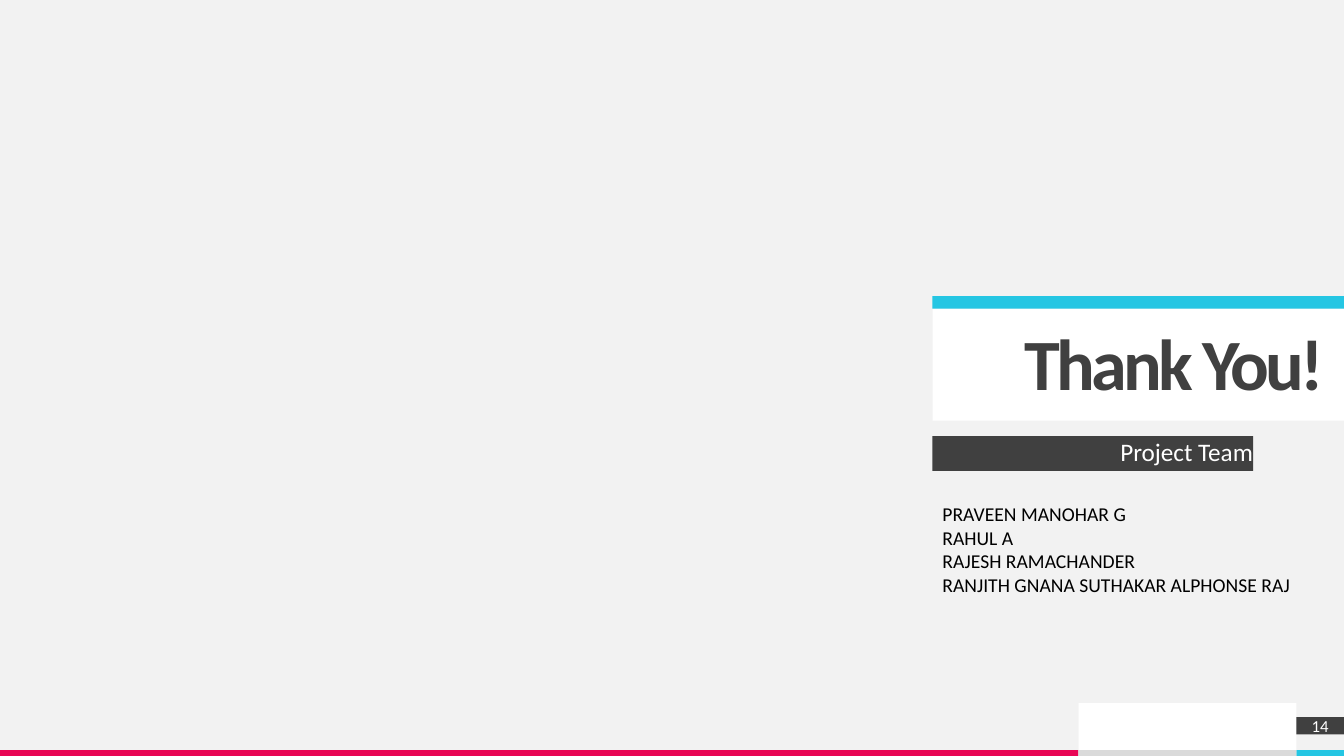
"""Build the closing thank-you slide with its project team."""
from dataclasses import dataclass

from lxml import etree
from pptx import Presentation
from pptx.dml.color import RGBColor
from pptx.enum.shapes import MSO_CONNECTOR, MSO_SHAPE
from pptx.enum.text import MSO_ANCHOR, PP_ALIGN
from pptx.oxml.ns import qn
from pptx.util import Cm, Pt

RECTANGLE = MSO_SHAPE.RECTANGLE
STRAIGHT = MSO_CONNECTOR.STRAIGHT
TOP, MIDDLE = MSO_ANCHOR.TOP, MSO_ANCHOR.MIDDLE
LEFT, CENTER, RIGHT = PP_ALIGN.LEFT, PP_ALIGN.CENTER, PP_ALIGN.RIGHT


@dataclass(frozen=True)
class Theme:
    """Colours, font and type sizes of the slide."""
    font: str = "Calibri"
    page: str = "F2F2F2"
    white: str = "FFFFFF"
    black: str = "000000"
    dark: str = "404040"
    cyan: str = "25C6E3"
    magenta: str = "E80554"
    grey: str = "DADADA"
    title_size: float = 51.6
    title_spacing: int = -260
    subtitle_size: float = 18
    team_size: float = 14
    number_size: float = 12


@dataclass(frozen=True)
class Box:
    """Position and size in centimetres."""
    left: float
    top: float
    width: float
    height: float


@dataclass(frozen=True)
class Bar:
    """A plain coloured rectangle."""
    box: Box
    color: str


@dataclass(frozen=True)
class TextStyle:
    """Formatting of a block of text."""
    size: float
    color: str
    align: PP_ALIGN = LEFT
    anchor: MSO_ANCHOR = TOP
    inset: float = 0
    line_spacing: float = 1
    bold: bool = False


THEME = Theme()
SLIDE_WIDTH, SLIDE_HEIGHT = 33.87, 19.05
FOOTER_TOP, FOOTER_HEIGHT = 17.7, 1.2
STRIPE_TOP, STRIPE_HEIGHT = FOOTER_TOP + FOOTER_HEIGHT, 0.15
PANEL_LEFT, NUMBER_LEFT = 27.18, 32.67
PANEL_WIDTH, NUMBER_WIDTH = NUMBER_LEFT - PANEL_LEFT, SLIDE_WIDTH - NUMBER_LEFT
BLOCK_LEFT = 23.5
BLOCK_WIDTH = SLIDE_WIDTH - BLOCK_LEFT

FOOTER_PANELS = (
    Bar(Box(PANEL_LEFT, FOOTER_TOP, PANEL_WIDTH, FOOTER_HEIGHT), THEME.white),
    Bar(Box(0, FOOTER_TOP, PANEL_LEFT, FOOTER_HEIGHT), THEME.page),
)
ACCENTS = (
    Bar(Box(NUMBER_LEFT, STRIPE_TOP, NUMBER_WIDTH, STRIPE_HEIGHT), THEME.cyan),
    Bar(Box(0, STRIPE_TOP, PANEL_LEFT, STRIPE_HEIGHT), THEME.magenta),
    Bar(Box(PANEL_LEFT, STRIPE_TOP, PANEL_WIDTH, STRIPE_HEIGHT), THEME.grey),
    Bar(Box(BLOCK_LEFT, 7.46, BLOCK_WIDTH, 0.32), THEME.cyan),
)
TITLE_BOX = Box(BLOCK_LEFT, 7.78, BLOCK_WIDTH, 2.82)
SUBTITLE = Bar(Box(BLOCK_LEFT, 10.99, 8.08, 0.88), THEME.dark)
NUMBER = Bar(Box(NUMBER_LEFT, 18.07, NUMBER_WIDTH, 0.44), THEME.dark)
TEAM_BOX = Box(23.62, 12.52, 9.42, 2.7)
TEAM = (
    "PRAVEEN MANOHAR G",
    "RAHUL A",
    "RAJESH RAMACHANDER",
    "RANJITH GNANA SUTHAKAR ALPHONSE RAJ",
)


def lengths(box: Box) -> tuple[Cm, Cm, Cm, Cm]:
    """Convert a box to slide lengths."""
    return Cm(box.left), Cm(box.top), Cm(box.width), Cm(box.height)


def paint(shape, color: str) -> None:
    """Fill a shape with a solid colour."""
    shape.fill.solid()
    shape.fill.fore_color.rgb = RGBColor.from_string(color)


def add_bar(slide, bar: Bar):
    """Draw a borderless rectangle."""
    shape = slide.shapes.add_shape(RECTANGLE, *lengths(bar.box))
    shape.shadow.inherit = False
    paint(shape, bar.color)
    shape.line.fill.background()
    return shape


def add_footer_rule(slide) -> None:
    """Draw the thin rule along the top of the footer."""
    rule = slide.shapes.add_connector(
        STRAIGHT, Cm(SLIDE_WIDTH), Cm(FOOTER_TOP), Cm(0), Cm(FOOTER_TOP))
    rule.line.color.rgb = RGBColor.from_string(THEME.page)
    rule.line.width = Pt(0.5)
    etree.SubElement(rule.line._get_or_add_ln().getparent(), qn("a:effectLst"))


def write(shape, text: str, style: TextStyle) -> None:
    """Set and format the text of a shape."""
    frame = shape.text_frame
    frame.text = text
    frame.word_wrap = True
    frame.vertical_anchor = style.anchor
    frame.margin_left = frame.margin_right = Cm(style.inset)
    frame.margin_top = frame.margin_bottom = Cm(style.inset)
    for paragraph in frame.paragraphs:
        paragraph.alignment = style.align
        paragraph.line_spacing = style.line_spacing
        for run in paragraph.runs:
            run.font.name = THEME.font
            run.font.size = Pt(style.size)
            run.font.bold = style.bold
            run.font.color.rgb = RGBColor.from_string(style.color)


def add_title(slide) -> None:
    """Place and format the title placeholder."""
    title = slide.shapes.title
    title.left, title.top, title.width, title.height = lengths(TITLE_BOX)
    paint(title, THEME.white)
    write(title, "Thank You!", TextStyle(
        THEME.title_size, THEME.dark, RIGHT, inset=0.5, line_spacing=0.9, bold=True))
    for run in title.text_frame.paragraphs[0].runs:
        run.font._element.set("spc", str(THEME.title_spacing))


def main() -> None:
    """Build and save the slide."""
    deck = Presentation()
    deck.slide_width, deck.slide_height = Cm(SLIDE_WIDTH), Cm(SLIDE_HEIGHT)
    slide = deck.slides.add_slide(deck.slide_layouts.get_by_name("Title Only"))
    paint(slide.background, THEME.page)
    for panel in FOOTER_PANELS:
        add_bar(slide, panel)
    add_footer_rule(slide)
    for accent in ACCENTS:
        add_bar(slide, accent)
    add_title(slide)
    write(add_bar(slide, SUBTITLE), "Project Team", TextStyle(
        THEME.subtitle_size, THEME.white, RIGHT, MIDDLE, line_spacing=0.9))
    write(add_bar(slide, NUMBER), "14", TextStyle(
        THEME.number_size, THEME.white, CENTER, MIDDLE))
    team = slide.shapes.add_textbox(*lengths(TEAM_BOX))
    write(team, "\n".join(TEAM), TextStyle(THEME.team_size, THEME.black, inset=0.13))
    deck.save("out.pptx")


if __name__ == "__main__":
    main()
